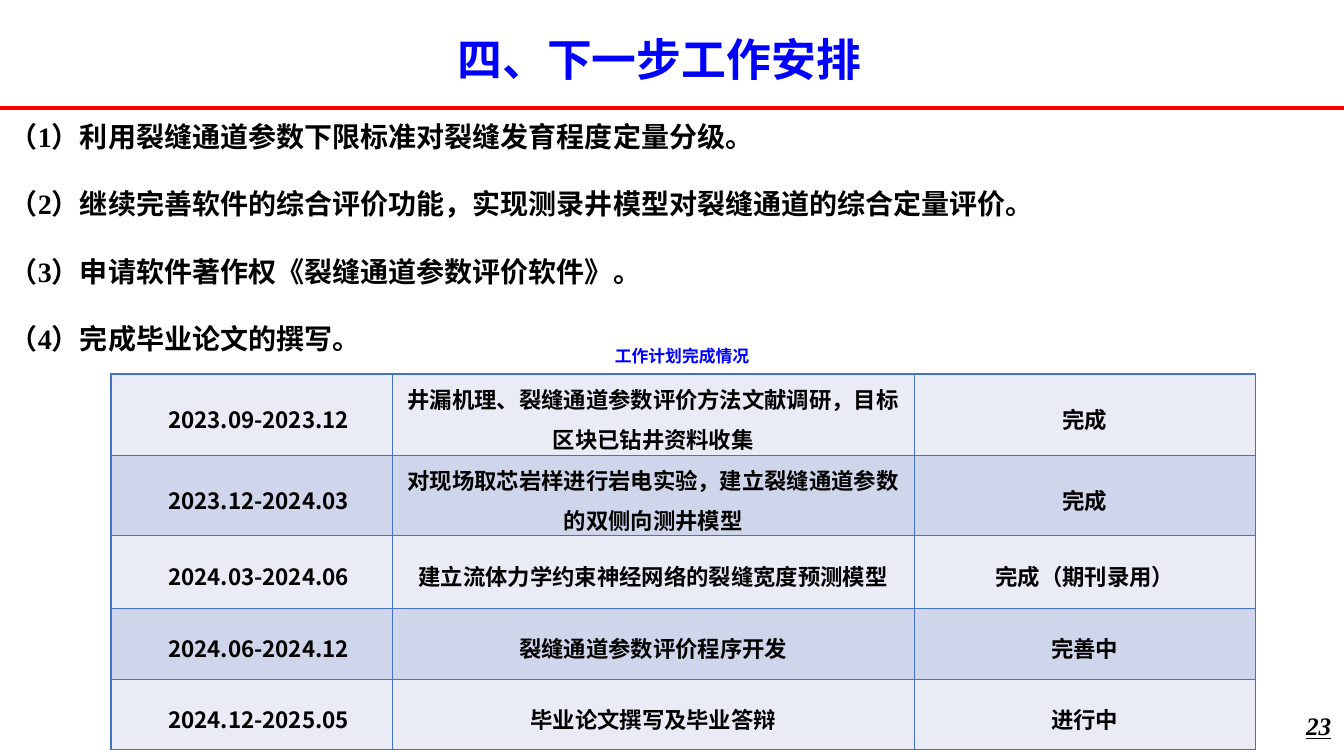
from lxml import etree
from pptx import Presentation
from pptx.dml.color import RGBColor
from pptx.enum import shapes, text
from pptx.oxml import ns
from pptx.util import Inches, Pt

COLORS = {
    "title": "0000FF", "rule": "FF0000", "text": "000000",
    "border": "4472C4", "odd": "E9EBF5", "even": "CFD5EA",
}
SANS = "Noto Sans CJK SC"
SERIF = "Times New Roman"
ALIGN = text.PP_ALIGN

TASKS = [
    ("（1）", "利用裂缝通道参数下限标准对裂缝发育程度定量分级。"),
    ("（2）", "继续完善软件的综合评价功能，实现测录井模型对裂缝通道的综合定量评价。"),
    ("（3）", "申请软件著作权《裂缝通道参数评价软件》。"),
    ("（4）", "完成毕业论文的撰写。"),
]
PLAN = [
    ("2023.09-2023.12", "井漏机理、裂缝通道参数评价方法文献调研，目标区块已钻井资料收集", "完成"),
    ("2023.12-2024.03", "对现场取芯岩样进行岩电实验，建立裂缝通道参数的双侧向测井模型", "完成"),
    ("2024.03-2024.06", "建立流体力学约束神经网络的裂缝宽度预测模型", "完成（期刊录用）"),
    ("2024.06-2024.12", "裂缝通道参数评价程序开发", "完善中"),
    ("2024.12-2025.05", "毕业论文撰写及毕业答辩", "进行中"),
]
COLUMN_WIDTHS = [2.79, 5.18, 3.38]
ROW_HEIGHTS = [0.81, 0.79, 0.73, 0.7, 0.7]


def rgb(name):
    return RGBColor.from_string(COLORS[name])


def style(paragraph, size, color="text", name=SANS, align=ALIGN.CENTER):
    paragraph.alignment = align
    font = paragraph.font
    font.size, font.bold, font.name = Pt(size), True, name
    font.color.rgb = rgb(color)


def add_text(slide, box, wrap=True):
    frame = slide.shapes.add_textbox(*map(Inches, box)).text_frame
    frame.word_wrap = wrap
    return frame


def add_label(slide, box, label, size, color, name=SANS, wrap=True):
    paragraph = add_text(slide, box, wrap).paragraphs[0]
    paragraph.text = label
    style(paragraph, size, color, name)
    return paragraph


def add_header(slide, left, top, width):
    rule_top = Inches(top + 1.07)
    rule = slide.shapes.add_connector(
        shapes.MSO_CONNECTOR.STRAIGHT, Inches(left), rule_top, Inches(left + width), rule_top)
    rule.line.color.rgb = rgb("rule")
    rule.line.width = Pt(3)
    etree.SubElement(rule._element.spPr, ns.qn("a:effectLst"))
    add_label(slide, (left + 3.6, top + 0.27, 5.88, 0.64), "四、下一步工作安排", 32, "title")


def add_tasks(slide, box):
    frame = add_text(slide, box)
    for index, (number, task) in enumerate(TASKS):
        paragraph = frame.add_paragraph() if index else frame.paragraphs[0]
        paragraph.line_spacing = 1.5 if index else 1.2
        paragraph.space_before = Pt(6 if index else 0)
        paragraph.space_after = Pt(6)
        paragraph.add_run().text = number + task
        style(paragraph, 20, name=SERIF, align=ALIGN.JUSTIFY)


def add_borders(cell):
    properties = cell._tc.get_or_add_tcPr()
    for index, side in enumerate(("lnL", "lnR", "lnT", "lnB")):
        line = etree.Element(ns.qn(f"a:{side}"), w=str(Pt(1)))
        fill = etree.SubElement(line, ns.qn("a:solidFill"))
        etree.SubElement(fill, ns.qn("a:srgbClr"), val=COLORS["border"])
        properties.insert(index, line)


def fill_cell(cell, label, fill, indent):
    cell.fill.solid()
    cell.fill.fore_color.rgb = rgb(fill)
    cell.vertical_anchor = text.MSO_ANCHOR.MIDDLE
    cell.margin_left = cell.margin_right = Inches(0.07)
    cell.margin_top = cell.margin_bottom = 0
    add_borders(cell)
    paragraph = cell.text_frame.paragraphs[0]
    paragraph.text = label
    paragraph.line_spacing = 1.25
    if indent:
        paragraph._p.get_or_add_pPr().set("indent", str(Inches(indent)))
    style(paragraph, 16)


def add_plan(slide, left, top):
    add_label(slide, (left + 4.89, top - 0.33, 1.55, 0.3), "工作计划完成情况", 12, "title", wrap=False)
    table = slide.shapes.add_table(
        len(PLAN), len(COLUMN_WIDTHS), Inches(left), Inches(top),
        Inches(sum(COLUMN_WIDTHS)), Inches(sum(ROW_HEIGHTS))).table
    table.first_row = table.horz_banding = False
    for column, width in zip(table.columns, COLUMN_WIDTHS):
        column.width = Inches(width)
    for index, (row, height, labels) in enumerate(zip(table.rows, ROW_HEIGHTS, PLAN)):
        row.height = Inches(height)
        for position, (cell, label) in enumerate(zip(row.cells, labels)):
            fill_cell(cell, label, "even" if index % 2 else "odd", 0 if position else 0.14)


def add_page_number(slide, box):
    paragraph = add_label(slide, box, "23", 18, "text", SERIF)
    paragraph.font.italic = paragraph.font.underline = True


def main():
    presentation = Presentation()
    presentation.slide_width, presentation.slide_height = Inches(13.33), Inches(7.5)
    slide = presentation.slides.add_slide(presentation.slide_layouts[6])
    add_header(slide, 0, 0, 13.33)
    add_tasks(slide, (0, 1.07, 12.24, 2.52))
    add_page_number(slide, (12.83, 7, 0.5, 0.4))
    add_plan(slide, 1.1, 3.71)
    presentation.save("out.pptx")


if __name__ == "__main__":
    main()
